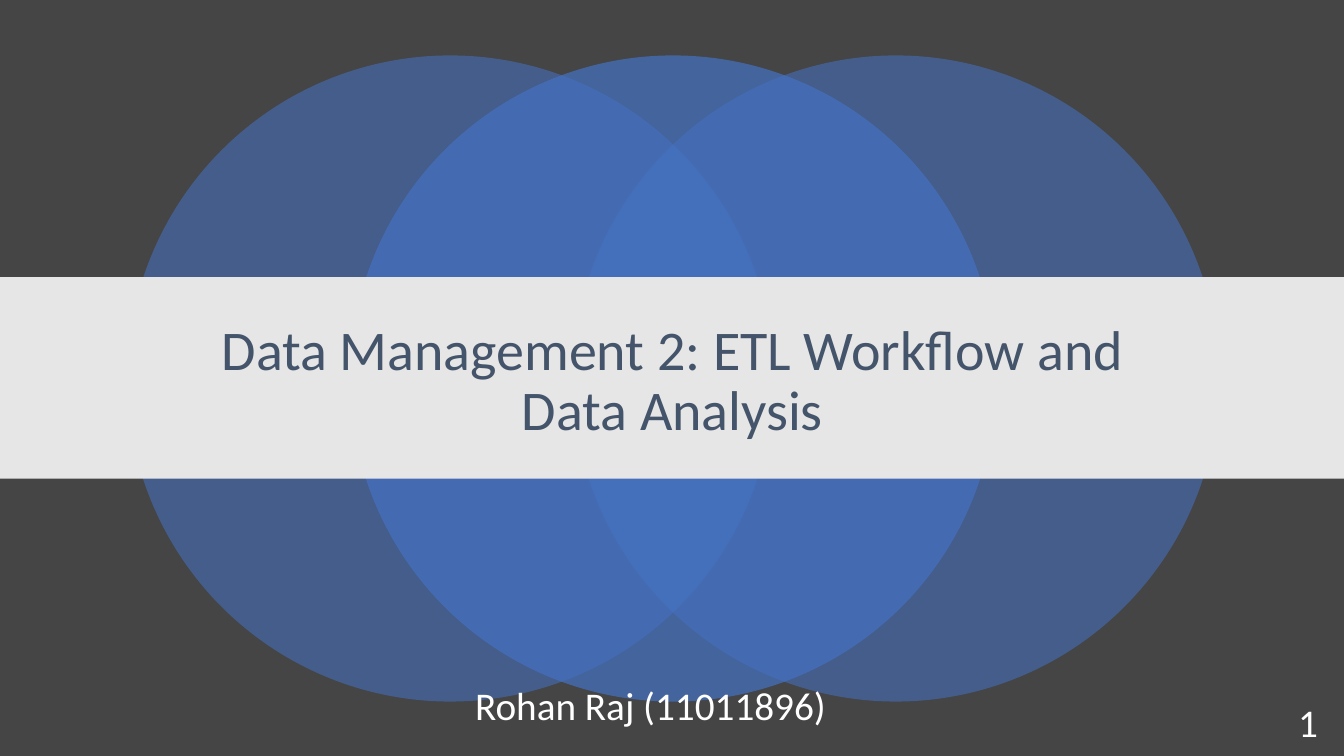
from lxml import etree
from pptx import Presentation
from pptx import util as u
from pptx.dml.color import RGBColor
from pptx.enum import shapes, text
from pptx.oxml import ns

# Theme: colours, type sizes and font
THEME = {
    "back": "454545", "disc": "4472C4", "band": "E7E6E6",
    "title": "44546A", "light": "FFFFFF",
    "big": 40, "small": 28, "font": "Calibri",
}
WIDE, HIGH = u.Inches(13.33), u.Inches(7.5)


def place(item, box):
    """Set position and size, given in inches."""
    for key, val in zip(("left", "top", "width", "height"), box):
        setattr(item, key, u.Inches(val))


def paint(fill, tone, alpha=100):
    fill.solid()
    fill.fore_color.rgb = RGBColor.from_string(THEME[tone])
    if alpha < 100:
        node = fill._xPr.find(".//" + ns.qn("a:srgbClr"))
        etree.SubElement(node, ns.qn("a:alpha"), val=str(alpha * 1000))


def block(slide, kind, box, tone, alpha=100):
    item = slide.shapes.add_shape(kind, 0, 0, 0, 0)
    place(item, box)
    item.shadow.inherit = False
    item.line.fill.background()
    paint(item.fill, tone, alpha)


def write(item, box, words, size, tone, anchor, para):
    """Fill a text shape with one formatted paragraph."""
    place(item, box)
    frame = item.text_frame
    frame.text = words
    line = frame.paragraphs[0]
    font = line.runs[0].font
    looks = (
        (frame, {"word_wrap": True, "vertical_anchor": anchor,
                 "auto_size": text.MSO_AUTO_SIZE.NONE}),
        (line, para),
        (font, {"name": THEME["font"], "size": u.Pt(THEME[size])}),
    )
    for part, vals in looks:
        for key, val in vals.items():
            setattr(part, key, val)
    font.color.rgb = RGBColor.from_string(THEME[tone])


def main():
    deck = Presentation()
    deck.slide_width, deck.slide_height = WIDE, HIGH
    slide = deck.slides.add_slide(deck.slide_layouts[0])
    paint(slide.background.fill, "back")
    top, mid = text.MSO_ANCHOR.TOP, text.MSO_ANCHOR.MIDDLE
    right, center = text.PP_ALIGN.RIGHT, text.PP_ALIGN.CENTER
    kind = shapes.MSO_SHAPE
    title, author = slide.placeholders

    # Overlapping discs, the middle one in front
    size, step = 6.41, 2.21
    for col, alpha in ((0, 55), (2, 55), (1, 70)):
        block(slide, kind.OVAL, (1.26 + col * step, 0.55, size, size),
              "disc", alpha)

    # Band across the full width
    block(slide, kind.RECTANGLE, (0, 2.75, 13.33, 2), "band")

    # Title and author, lifted above the discs and band
    for item in (author, title):
        slide.shapes._spTree.append(item._element)
    write(author, (4.43, 6.76, 3.86, 0.55), "Rohan Raj (11011896)",
          "small", "light", top,
          {"alignment": right, "line_spacing": 0.9, "space_before": u.Pt(10)})
    write(title, (1.67, 3.04, 10, 1.51),
          "Data Management 2: ETL Workflow and Data Analysis",
          "big", "title", mid, {"alignment": center, "line_spacing": 0.9})

    # Page number
    page = slide.shapes.add_textbox(0, 0, 0, 0)
    write(page, (10.17, 6.96, 3, 0.4), "1", "small", "light", mid,
          {"alignment": right})

    deck.save("out.pptx")


if __name__ == "__main__":
    main()
